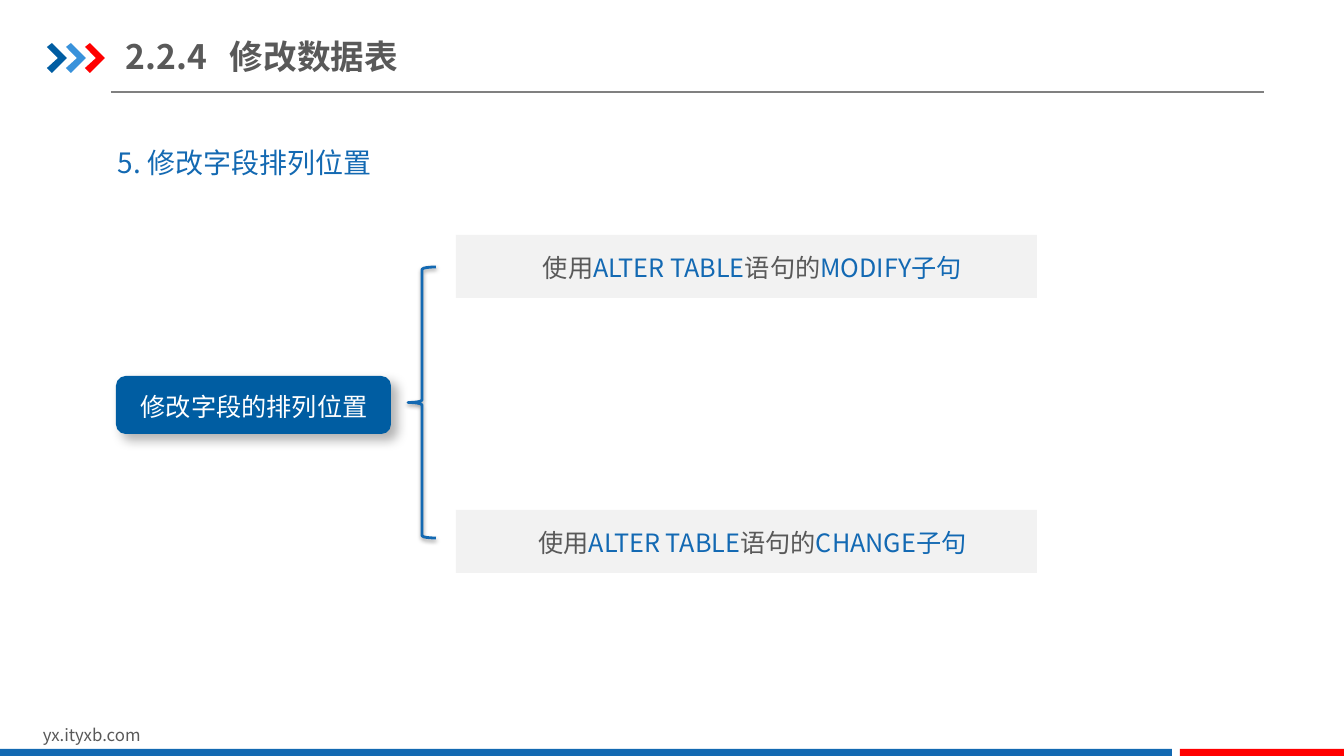
from lxml import etree
from pptx import Presentation
from pptx import util as u
from pptx.dml.color import RGBColor
from pptx.enum import shapes, text
from pptx.oxml import ns

SCALE = 914400 / 100.8
FONT = "Noto Sans CJK SC"
NAVY = RGBColor(0x00, 0x5D, 0xA2)
BLUE = RGBColor(0x13, 0x69, 0xB2)
KEYWORD = RGBColor(0x13, 0x69, 0xB3)
SKY = RGBColor(0x39, 0x92, 0xDB)
RED = RGBColor(0xFF, 0x00, 0x00)
DARK = RGBColor(0x59, 0x59, 0x59)
GRAY = RGBColor(0x80, 0x80, 0x80)
PALE = RGBColor(0xF2, 0xF2, 0xF2)
WHITE = RGBColor(0xFF, 0xFF, 0xFF)


def emu(*lengths):
    return [u.Emu(round(length * SCALE)) for length in lengths]


def apply(target, values):
    for name, value in values.items():
        setattr(target, name, value)


class SlideBuilder:
    def __init__(self, presentation):
        self.slide = presentation.slides.add_slide(presentation.slide_layouts[6])
        self.shapes = self.slide.shapes

    def rule(self, start, end, color, width):
        connector = self.shapes.add_connector(
            shapes.MSO_CONNECTOR.STRAIGHT, *emu(*start, *end))
        connector.line.color.rgb = color
        connector.line.width = u.Pt(width)
        etree.SubElement(connector.element.spPr, ns.qn("a:effectLst"))

    def chevron(self, left, top, color):
        outline = [(0, 4), (5, 0), (20, 15), (5, 30), (0, 25), (11, 15)]
        points = [(left + x, top + y) for x, y in outline]
        builder = self.shapes.build_freeform(*points[0], scale=SCALE)
        builder.add_line_segments(points[1:], close=True)
        self.paint(builder.convert_to_shape(), color)

    def paint(self, shape, fill):
        shape.shadow.inherit = False
        shape.fill.solid()
        shape.fill.fore_color.rgb = fill
        shape.line.fill.background()

    def block(self, box, fill, kind=shapes.MSO_SHAPE.RECTANGLE):
        shape = self.shapes.add_shape(kind, *emu(*box))
        self.paint(shape, fill)
        return shape

    def brace(self, box, color, width):
        shape = self.shapes.add_shape(shapes.MSO_SHAPE.LEFT_BRACE, *emu(*box))
        shape.shadow.inherit = False
        shape.fill.background()
        shape.line.color.rgb = color
        shape.line.width = u.Pt(width)
        return shape

    def shadow(self, shape, opacity, blur, distance, angle):
        effects = shape.element.spPr.find(ns.qn("a:effectLst"))
        outer = etree.SubElement(effects, ns.qn("a:outerShdw"), {
            "blurRad": str(u.Pt(blur)), "dist": str(u.Pt(distance)),
            "dir": str(angle * 60000), "algn": "ctr", "rotWithShape": "0"})
        color = etree.SubElement(outer, ns.qn("a:srgbClr"), val="000000")
        etree.SubElement(color, ns.qn("a:alpha"), val=str(opacity * 1000))

    def label(self, box, runs, size, bold=False, frame=None, layout=None, tab=None):
        text_frame = self.shapes.add_textbox(*emu(*box)).text_frame
        apply(text_frame, {"word_wrap": True, **(frame or {})})
        paragraph = text_frame.paragraphs[0]
        apply(paragraph, layout or {})
        if tab:
            stops = etree.SubElement(
                paragraph._p.get_or_add_pPr(), ns.qn("a:tabLst"))
            etree.SubElement(
                stops, ns.qn("a:tab"), pos=str(emu(tab)[0]), algn="l")
        for words, color in runs:
            run = paragraph.add_run()
            run.text = words
            run.font.color.rgb = color
            apply(run.font, {"name": FONT, "size": u.Pt(size), "bold": bold})
            etree.SubElement(
                run.font._element, ns.qn("a:ea"), typeface=FONT)


def main():
    presentation = Presentation()
    presentation.slide_width, presentation.slide_height = emu(1344, 756)
    page = SlideBuilder(presentation)
    centered = {"alignment": text.PP_ALIGN.CENTER}

    page.rule((111, 92), (1264, 92), GRAY, 0.75)
    for index, color in enumerate((NAVY, SKY, RED)):
        page.chevron(47 + 19 * index, 43, color)
    page.label((33, 720, 321, 30), [("yx.ityxb.com", DARK)], 12)
    page.block((0, 749, 1172, 7), BLUE)
    page.block((1180, 749, 164, 7), RED)

    page.label((126, 29, 429, 55), [("2.2.4\t修改数据表", DARK)], 24, bold=True,
               frame={"margin_left": 0, "margin_right": 0,
                      "vertical_anchor": text.MSO_ANCHOR.MIDDLE}, tab=104)
    page.label((108, 124, 1182, 55), [("5. 修改字段排列位置", BLUE)], 20,
               layout={"line_spacing": 1.5})

    topic = page.block((116, 376, 275, 58), NAVY,
                       shapes.MSO_SHAPE.ROUNDED_RECTANGLE)
    page.shadow(topic, 30, 8, 6, 45)
    page.label((129, 386, 250, 40), [("修改字段的排列位置", WHITE)], 18,
               layout=centered)
    brace = page.brace((408, 267, 28, 271), BLUE, 2)
    page.shadow(brace, 38, 3.1, 1.6, 90)

    for index, clause in enumerate(("MODIFY", "CHANGE")):
        top = 235 + 275 * index
        page.block((456, top, 581, 63), PALE)
        page.label((493, top + 12, 519, 40),
                   [("使用", DARK), ("ALTER TABLE", KEYWORD),
                    ("语句的", DARK), (clause + "子句", KEYWORD)],
                   18, layout=centered)

    presentation.save("out.pptx")


if __name__ == "__main__":
    main()
